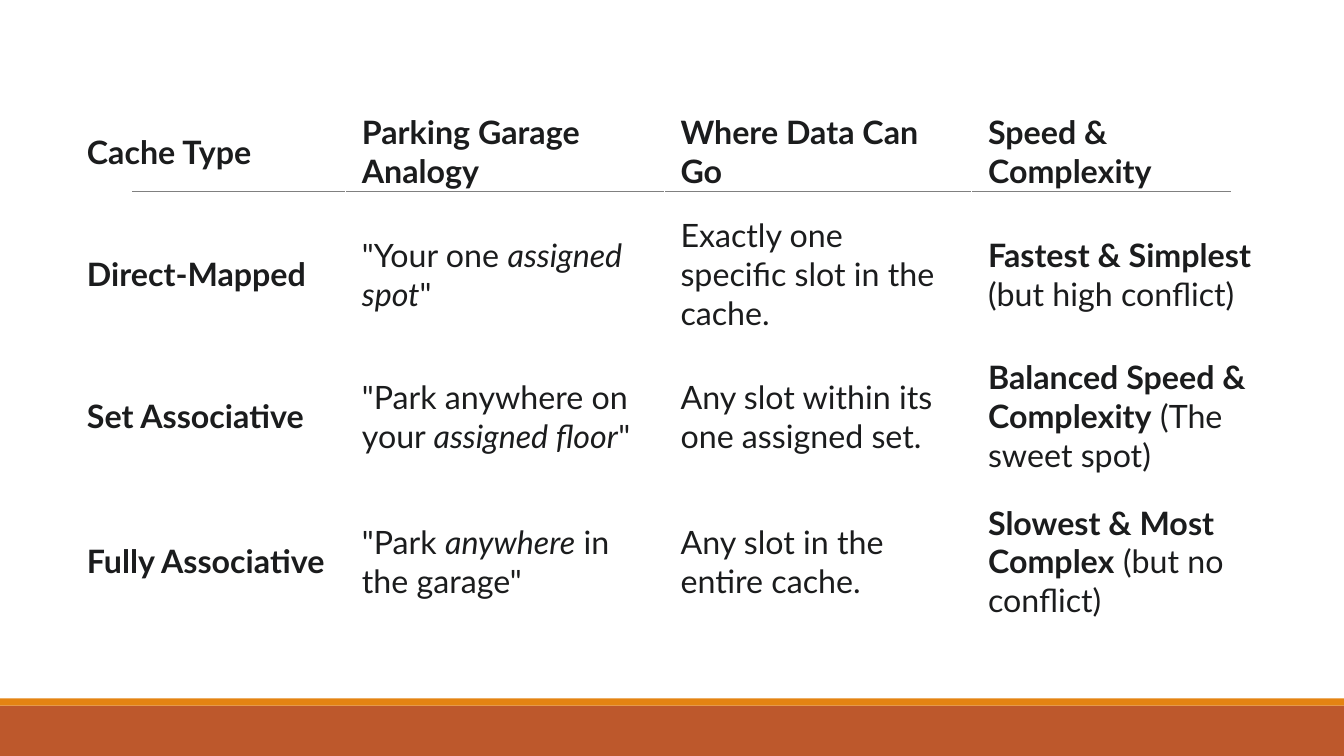
from dataclasses import dataclass

from lxml import etree
from pptx import Presentation
from pptx.dml.color import RGBColor
from pptx.enum.shapes import MSO_CONNECTOR, MSO_SHAPE
from pptx.enum.text import MSO_ANCHOR
from pptx.oxml.ns import qn
from pptx.util import Cm, Pt

RECTANGLE = MSO_SHAPE.RECTANGLE
STRAIGHT = MSO_CONNECTOR.STRAIGHT
MIDDLE = MSO_ANCHOR.MIDDLE

SLIDE_WIDTH, SLIDE_HEIGHT = 33.87, 19.05
TABLE_LEFT, TABLE_TOP = 1.78, 2.49
COLUMN_WIDTHS = (6.93, 8.03, 7.75, 7.57)
ROW_HEIGHTS = (2.67, 2.67, 3.66, 3.66)
BORDER_SIDES = ("L", "R", "T", "B")


@dataclass(frozen=True)
class Band:
    """A full-width colour band at the foot of the slide."""

    top: float
    height: float
    fill: str


@dataclass(frozen=True)
class Span:
    """A piece of cell text with its emphasis."""

    text: str
    bold: bool = False
    italic: bool = False


@dataclass(frozen=True)
class CacheType:
    """One table row about a kind of cache."""

    name: str
    analogy: tuple[Span, ...]
    placement: str
    verdict: str
    remark: str

    def cells(self) -> list[tuple[Span, ...]]:
        """Return the spans of each cell in the row."""
        return [
            (Span(self.name, bold=True),),
            self.analogy,
            (Span(self.placement),),
            (Span(self.verdict, bold=True), Span(f" {self.remark}")),
        ]


BANDS = (Band(17.78, 1.27, "BD582C"), Band(17.6, 0.18, "E48312"))
HEADINGS = ("Cache Type", "Parking Garage Analogy", "Where Data Can Go", "Speed & Complexity")
CACHE_TYPES = (
    CacheType(
        "Direct-Mapped",
        (Span('"Your one '), Span("assigned spot", italic=True), Span('"')),
        "Exactly one specific slot in the cache.",
        "Fastest & Simplest",
        "(but high conflict)",
    ),
    CacheType(
        "Set Associative",
        (Span('"Park anywhere on your '), Span("assigned floor", italic=True), Span('"')),
        "Any slot within its one assigned set.",
        "Balanced Speed & Complexity",
        "(The sweet spot)",
    ),
    CacheType(
        "Fully Associative",
        (Span('"Park '), Span("anywhere", italic=True), Span(' in the garage"')),
        "Any slot in the entire cache.",
        "Slowest & Most Complex",
        "(but no conflict)",
    ),
)


def color(value: str) -> RGBColor:
    """Turn a hex string into a colour."""
    return RGBColor.from_string(value)


def add_text(paragraph, text: str, *, bold: bool = False, italic: bool = False,
             size: float = 23, font: str = "Lato", fill: str = "1B1C1D") -> None:
    """Add a formatted run to a paragraph."""
    run = paragraph.add_run()
    run.text = text
    run.font.name = font
    run.font.size = Pt(size)
    run.font.bold = bold
    run.font.italic = italic
    run.font.color.rgb = color(fill)


def add_rule(slide) -> None:
    """Draw the thin rule that shows under the table headings."""
    rule = slide.shapes.add_connector(STRAIGHT, Cm(3.33), Cm(4.83), Cm(31.01), Cm(4.83))
    rule.line.color.rgb = color("808080")
    rule.line.width = Pt(0.5)
    etree.SubElement(rule._element.spPr, qn("a:effectLst"))


def add_band(slide, band: Band) -> None:
    """Draw one colour band."""
    shape = slide.shapes.add_shape(RECTANGLE, 0, Cm(band.top), Cm(SLIDE_WIDTH), Cm(band.height))
    shape.shadow.inherit = False
    shape.fill.solid()
    shape.fill.fore_color.rgb = color(band.fill)
    shape.line.fill.background()


def set_borders(cell, value: str, width: float) -> None:
    """Give a cell the same border on all four sides."""
    properties = cell._tc.get_or_add_tcPr()
    for position, side in enumerate(BORDER_SIDES):
        border = etree.Element(qn(f"a:ln{side}"), w=str(Pt(width)))
        fill = etree.SubElement(border, qn("a:solidFill"))
        etree.SubElement(fill, qn("a:srgbClr"), val=value)
        properties.insert(position, border)


def fill_cell(cell, spans: tuple[Span, ...]) -> None:
    """Format a cell and write its spans."""
    cell.fill.background()
    cell.vertical_anchor = MIDDLE
    cell.margin_left = cell.margin_right = Cm(0.41)
    cell.margin_top = cell.margin_bottom = Cm(0.28)
    set_borders(cell, "FFFFFF", 0.75)
    for span in spans:
        add_text(cell.text_frame.paragraphs[0], span.text, bold=span.bold, italic=span.italic)


def add_cache_table(slide) -> None:
    """Add the table comparing the cache types."""
    rows = [[(Span(heading, bold=True),) for heading in HEADINGS]]
    rows += [cache_type.cells() for cache_type in CACHE_TYPES]
    table = slide.shapes.add_table(
        len(rows), len(HEADINGS), Cm(TABLE_LEFT), Cm(TABLE_TOP),
        Cm(sum(COLUMN_WIDTHS)), Cm(sum(ROW_HEIGHTS)),
    ).table
    table.first_row = False
    table.horz_banding = False
    for column, width in zip(table.columns, COLUMN_WIDTHS):
        column.width = Cm(width)
    for row, height, contents in zip(table.rows, ROW_HEIGHTS, rows):
        row.height = Cm(height)
        for cell, spans in zip(row.cells, contents):
            fill_cell(cell, spans)


def main() -> None:
    """Build and save the slide."""
    presentation = Presentation()
    presentation.slide_width = Cm(SLIDE_WIDTH)
    presentation.slide_height = Cm(SLIDE_HEIGHT)
    slide = presentation.slides.add_slide(presentation.slide_layouts[6])
    add_rule(slide)
    for band in BANDS:
        add_band(slide, band)
    add_cache_table(slide)
    presentation.save("out.pptx")


if __name__ == "__main__":
    main()
